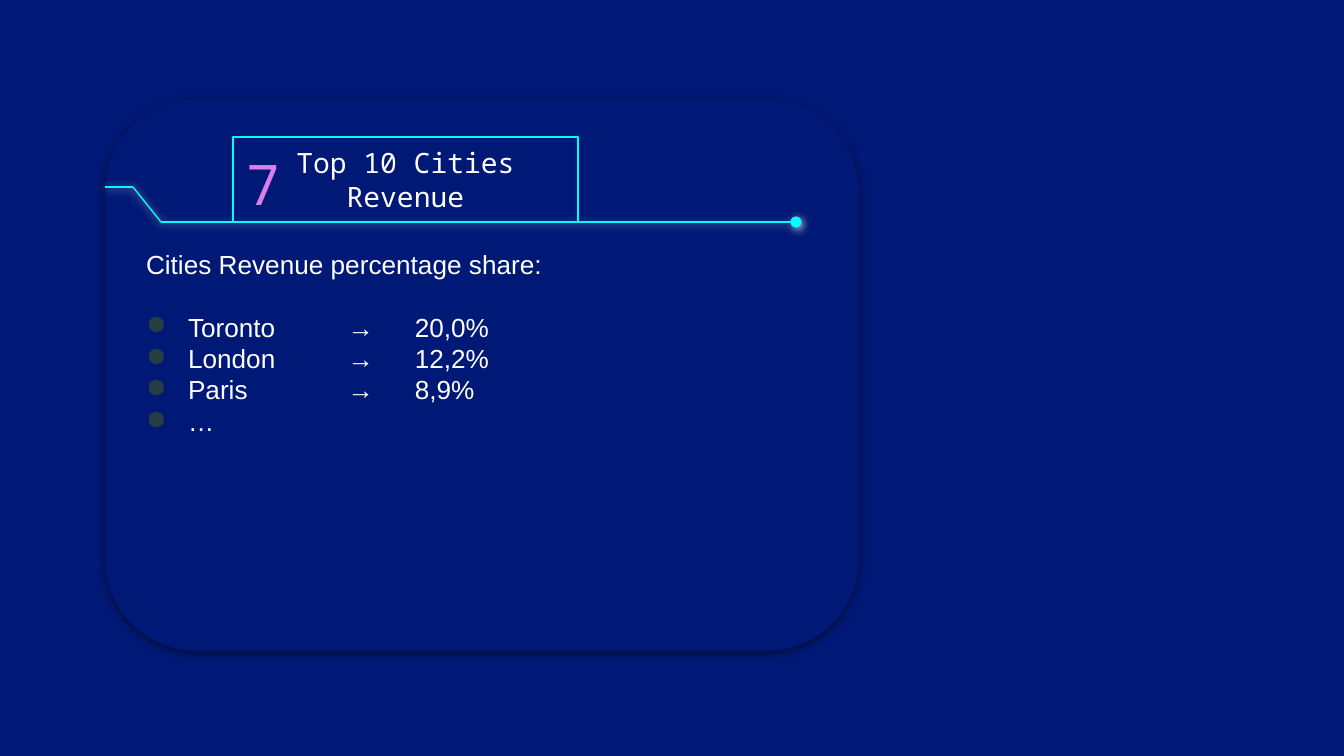
from lxml import etree
from pptx import Presentation
from pptx import util as u
from pptx.dml.color import RGBColor
from pptx.enum import shapes, text
from pptx.oxml.ns import qn

PX = 914400 / 134.4  # EMU per pixel
NAVY = RGBColor(0x00, 0x19, 0x76)
CYAN = RGBColor(0x00, 0xFF, 0xFF)
PINK = RGBColor(0xDA, 0x7E, 0xE9)
WHITE = RGBColor(0xFF, 0xFF, 0xFF)
BLACK = RGBColor(0x00, 0x00, 0x00)
BULLET = RGBColor(0x27, 0x3D, 0x40)


def px(*lengths):
    return [u.Emu(round(n * PX)) for n in lengths]


def cast_shadow(part, color, opacity, distance, angle):
    effects = etree.SubElement(part._element.spPr, qn("a:effectLst"))
    shadow = etree.SubElement(
        effects, qn("a:outerShdw"), blurRad=str(u.Pt(4.5)),
        dist=str(u.Pt(distance)), dir=str(angle * 60000),
        algn="bl", rotWithShape="0")
    tint = etree.SubElement(shadow, qn("a:srgbClr"), val=str(color))
    etree.SubElement(tint, qn("a:alpha"), val=str(opacity * 1000))


prs = Presentation()
prs.slide_width, prs.slide_height = px(1344, 756)
slide = prs.slides.add_slide(prs.slide_layouts[5])
slide.background.fill.solid()
slide.background.fill.fore_color.rgb = NAVY

# Rounded panel
panel = slide.shapes.add_shape(
    shapes.MSO_SHAPE.ROUNDED_RECTANGLE, *px(105, 99, 754, 552))
panel.fill.solid()
panel.fill.fore_color.rgb = NAVY
panel.line.fill.background()
cast_shadow(panel, BLACK, 50, 1.5, 90)

# City shares
shares = slide.shapes.add_textbox(*px(133, 235, 691, 394))
frame = shares.text_frame
frame.word_wrap = True
frame.text = "\n".join([
    "Cities Revenue percentage share:",
    "Toronto \t→ \t20,0%",
    "London\t\t→\t12,2%",
    "Paris\t\t→\t8,9%",
    "…",
])
for index, line in enumerate(frame.paragraphs):
    if index:
        props = line._p.get_or_add_pPr()
        indent = px(42)[0]
        props.set("marL", str(indent))
        props.set("indent", str(-indent))
        bullet_color = etree.SubElement(props, qn("a:buClr"))
        etree.SubElement(bullet_color, qn("a:srgbClr"), val=str(BULLET))
        etree.SubElement(props, qn("a:buChar"), char="●")
    if index == 1:
        line.space_before = u.Pt(17)
    for run in line.runs:
        run.font.name = "Arial"
        run.font.size = u.Pt(14)
        run.font.color.rgb = WHITE

# Glowing line under the title
trace = slide.shapes.add_group_shape()
for ends in [(133, 187, 161, 222), (133, 187, 105, 187), (161, 222, 796, 222)]:
    segment = trace.shapes.add_connector(
        shapes.MSO_CONNECTOR.STRAIGHT, *px(*ends))
    segment.line.color.rgb = CYAN
    segment.line.width = u.Pt(0.75)
    cast_shadow(segment, WHITE, 75, 0.8, 63)
etree.SubElement(segment.line._get_or_add_ln(), qn("a:tailEnd"), type="oval")

# Section number and title
number = slide.shapes.add_textbox(*px(214, 134, 98, 98))
number.text_frame.text = "7"

title = slide.shapes.title
title.left, title.top, title.width, title.height = px(233, 137, 345, 85)
title.text_frame.text = "Top 10 Cities Revenue"
title.line.color.rgb = CYAN
title.line.width = u.Pt(0.75)
slide.shapes._spTree.append(title._element)  # in front of the panel

for heading, size, color in [(number, 30, PINK), (title, 15, WHITE)]:
    frame = heading.text_frame
    frame.word_wrap = True
    frame.auto_size = text.MSO_AUTO_SIZE.NONE
    frame.vertical_anchor = text.MSO_ANCHOR.MIDDLE
    frame.paragraphs[0].alignment = text.PP_ALIGN.CENTER
    font = frame.paragraphs[0].runs[0].font
    font.name = "Noto Sans Mono"
    font.size = u.Pt(size)
    font.color.rgb = color

# Equal insets
for box in (shares, number, title):
    frame = box.text_frame
    frame.margin_left, frame.margin_top, frame.margin_right, frame.margin_bottom = px(13, 13, 13, 13)

prs.save("out.pptx")
